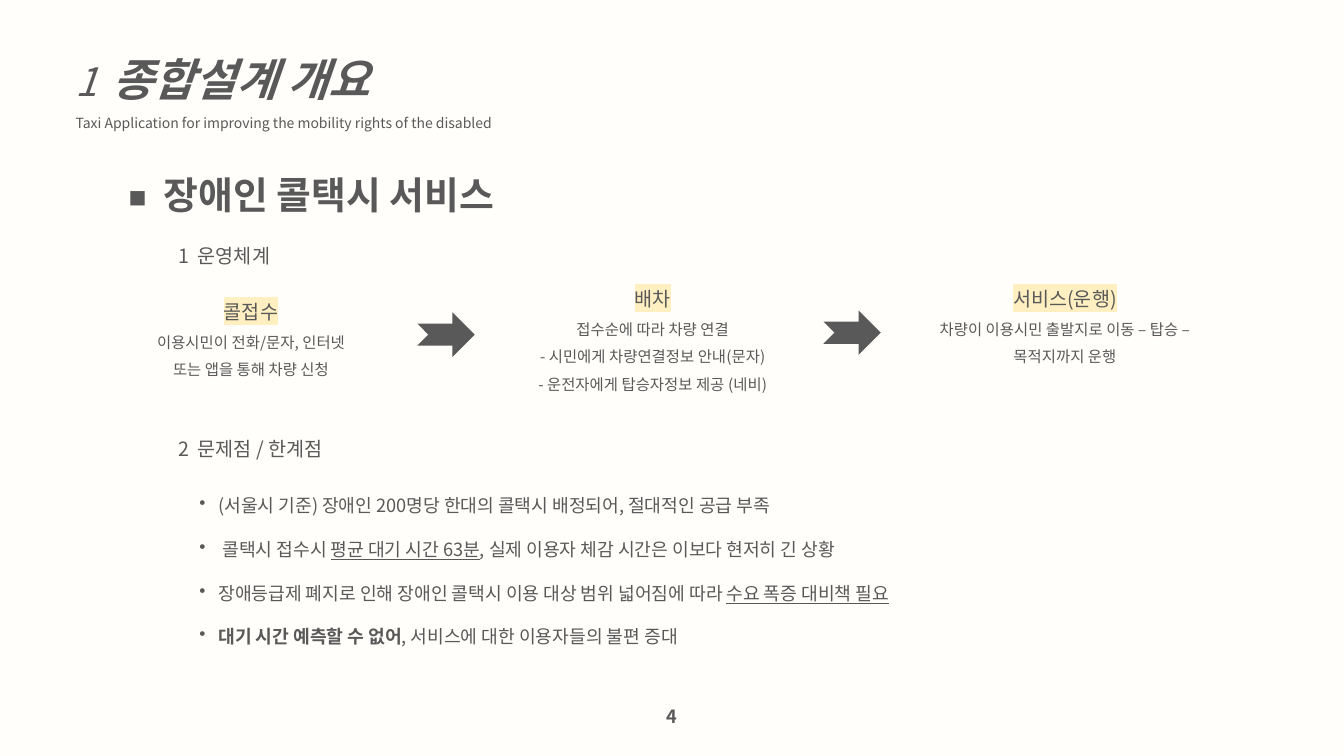
import pptx
import pptx.dml.color
import pptx.enum.shapes
import pptx.enum.text
import pptx.oxml
import pptx.oxml.ns
import pptx.util

Pt = pptx.util.Pt
GREY = pptx.dml.color.RGBColor(0x59, 0x59, 0x59)
IVORY = pptx.dml.color.RGBColor(0xFF, 0xFE, 0xFB)
YELLOW = pptx.dml.color.RGBColor(0xFF, 0xEF, 0xC1)
FONT = "Noto Sans CJK KR"
NAMESPACE = pptx.oxml.ns.nsdecls("a")
LEFT = pptx.enum.text.PP_ALIGN.LEFT
CENTER = pptx.enum.text.PP_ALIGN.CENTER


def add_text(paragraph, text, size, spacing=1.5, align=LEFT, bold=False):
    """Format the paragraph and add its first run."""
    paragraph.alignment = align
    paragraph.line_spacing = spacing
    font = paragraph.font
    font.name, font.size, font.bold = FONT, Pt(size), bold
    font.color.rgb = GREY
    font._element.append(pptx.oxml.parse_xml(f'<a:ea {NAMESPACE} typeface="{FONT}"/>'))
    run = paragraph.add_run()
    run.text = text
    return run


def add_box(left, top, width, height):
    """Add a wrapping text box and return its text frame."""
    frame = slide.shapes.add_textbox(Pt(left), Pt(top), Pt(width), Pt(height)).text_frame
    frame.word_wrap = True
    return frame


presentation = pptx.Presentation()
presentation.slide_width, presentation.slide_height = Pt(960), Pt(540)
slide = presentation.slides.add_slide(presentation.slide_layouts[5])
slide.background.fill.solid()
slide.background.fill.fore_color.rgb = IVORY

# Title with its English subtitle
title = slide.shapes.title
title.left, title.top, title.width, title.height = Pt(46.8), Pt(14.4), Pt(480), Pt(82)
title_frame = title.text_frame
title_frame.word_wrap = True
title_frame.auto_size = pptx.enum.text.MSO_AUTO_SIZE.NONE
title_frame.vertical_anchor = pptx.enum.text.MSO_ANCHOR.TOP
heading = title_frame.paragraphs[0]
number = add_text(heading, "1", 28)
gap, name = heading.add_run(), heading.add_run()
gap.text, name.text = "  ", "종합설계 개요"
gap.font.size, name.font.size = Pt(24), Pt(32)
name.font.bold = True
for run in (number, gap, name):
    run.font.italic = True
add_text(title_frame.add_paragraph(),
         "Taxi Application for improving the mobility rights of the disabled", 10)

# Page number
add_text(add_box(0, 500.4, 960, 23).paragraphs[0], "4", 13, 1, CENTER, True)

# Section headings
for left, top, width, height, text, size, bold in (
    (78.5, 103, 298.8, 52.6, " ◾  장애인 콜택시 서비스", 27, True),
    (120.2, 162, 86.4, 30.2, "1  운영체계", 14, False),
    (120.2, 300.2, 126.7, 30.2, "2  문제점 / 한계점", 14, False),
):
    add_text(add_box(left, top, width, height).paragraphs[0], text, size, bold=bold)

# Service steps
for left, top, width, height, step, details in (
    (99.4, 202.3, 159.8, 70.6, "콜접수",
     ["이용시민이 전화/문자, 인터넷 또는 앱을 통해 차량 신청"]),
    (360.7, 193, 211, 90.7, "배차",
     ["접수순에 따라 차량 연결", "- 시민에게 차량연결정보 안내(문자)",
      "- 운전자에게 탑승자정보 제공 (네비)"]),
    (655.2, 193, 211, 70.6, "서비스(운행)",
     ["차량이 이용시민 출발지로 이동 – 탑승 – 목적지까지 운행"]),
):
    frame = add_box(left, top, width, height)
    run = add_text(frame.paragraphs[0], step, 14, align=CENTER)
    run.font._element.append(pptx.oxml.parse_xml(
        f'<a:highlight {NAMESPACE}><a:srgbClr val="{YELLOW}"/></a:highlight>'))
    for detail in details:
        add_text(frame.add_paragraph(), detail, 11, align=CENTER)

# Arrows between the steps
for left, top in ((298.1, 223.2), (588.2, 221.8)):
    arrow = slide.shapes.add_shape(
        pptx.enum.shapes.MSO_SHAPE.NOTCHED_RIGHT_ARROW, Pt(left), Pt(top), Pt(41), Pt(31.7))
    arrow.shadow.inherit = False
    arrow.fill.solid()
    arrow.fill.fore_color.rgb = GREY
    arrow.line.fill.background()

# Problems: each part is (text, underlined, bold)
problems = (
    [("(서울시 기준) 장애인 200명당 한대의 콜택시 배정되어, 절대적인 공급 부족", False, False)],
    [(" 콜택시 접수시 ", False, False), ("평균 대기 시간 63분", True, False),
     (", 실제 이용자 체감 시간은 이보다 현저히 긴 상황", False, False)],
    [("장애등급제 폐지로 인해 장애인 콜택시 이용 대상 범위 넓어짐에 따라 ", False, False),
     ("수요 폭증 대비책 필요", True, False)],
    [("대기 시간 예측할 수 없어", False, True),
     (", 서비스에 대한 이용자들의 불편 증대", False, False)],
)
frame = add_box(135.4, 334.1, 543.6, 128.9)
for index, parts in enumerate(problems):
    paragraph = frame.add_paragraph() if index else frame.paragraphs[0]
    run = add_text(paragraph, "", 13, 2)
    for position, (text, underlined, bold) in enumerate(parts):
        if position:
            run = paragraph.add_run()
        run.text = text
        run.font.underline, run.font.bold = underlined, bold
    properties = paragraph._p.get_or_add_pPr()
    properties.set("marL", str(Pt(13.5)))
    properties.set("indent", str(-Pt(13.5)))
    bullet = pptx.oxml.parse_xml(f'<a:buChar {NAMESPACE} char="•"/>')
    properties.find(pptx.oxml.ns.qn("a:defRPr")).addprevious(bullet)

presentation.save("out.pptx")
